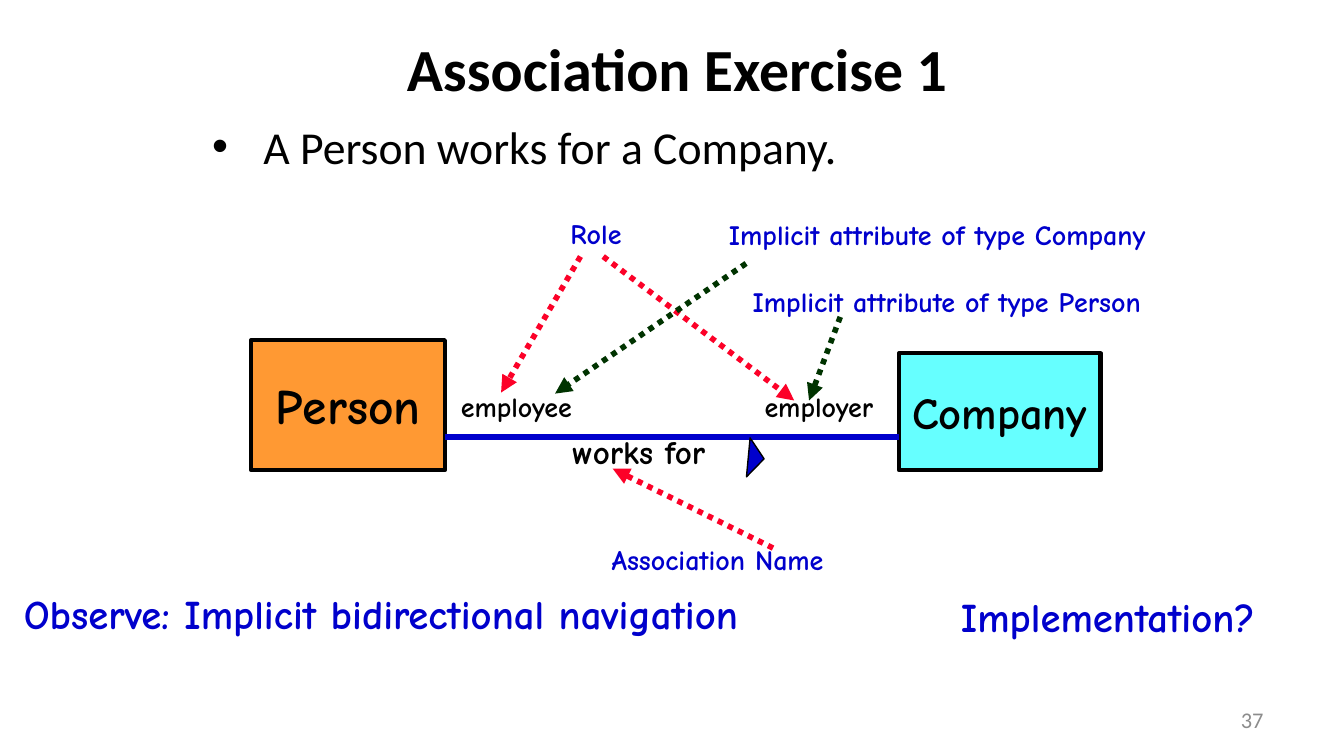
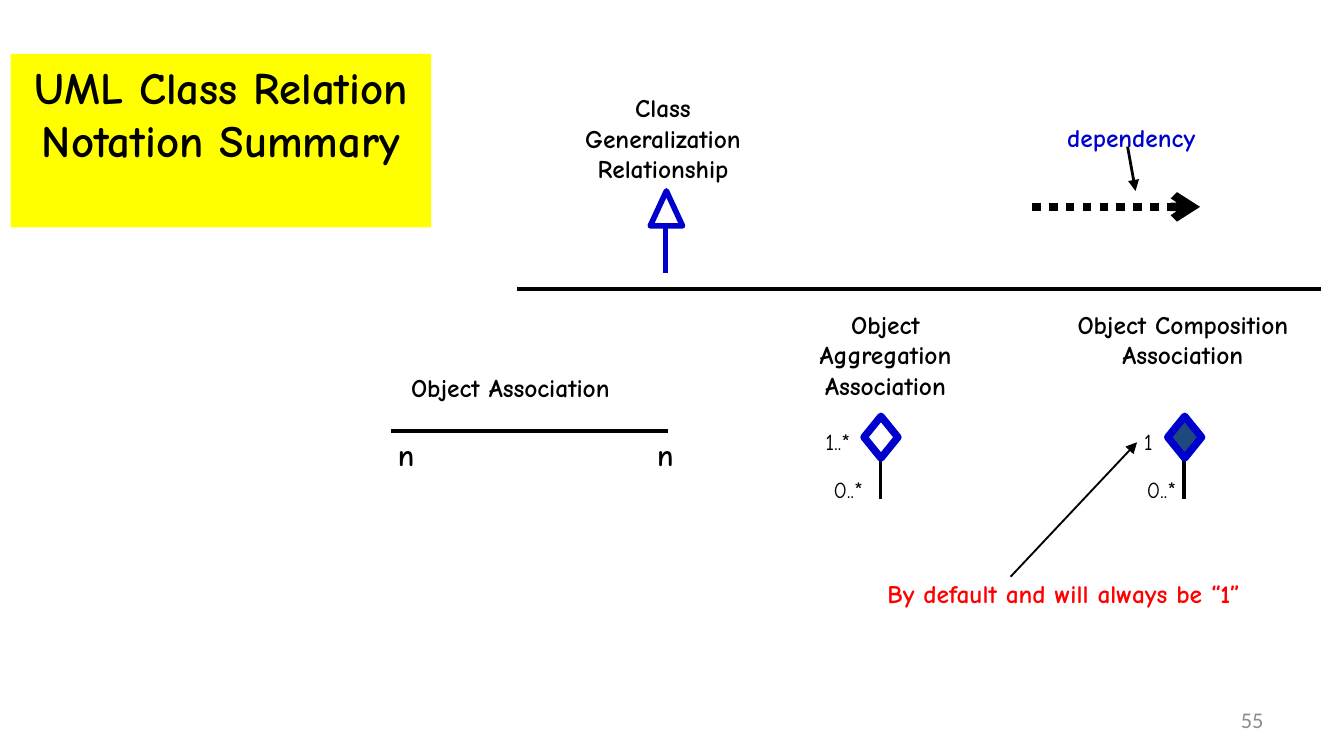
from lxml import etree
from pptx import Presentation
from pptx.dml.color import RGBColor
from pptx.enum.dml import MSO_LINE
from pptx.enum.shapes import MSO_CONNECTOR, MSO_SHAPE
from pptx.enum.text import MSO_ANCHOR, MSO_AUTO_SIZE, PP_ALIGN
from pptx.oxml.ns import qn
from pptx.util import Cm, Pt

BLACK, WHITE, BLUE = "000000", "FFFFFF", "0000CC"
RED, PINK, GREEN, GRAY = "FF0000", "FC0128", "003300", "8C8C8C"
ORANGE, CYAN, YELLOW, NAVY = "FF9933", "66FFFF", "FFFF00", "1F497D"
COMIC, CALIBRI = "Comic Neue", "Calibri"
LEFT, CENTER, RIGHT = PP_ALIGN.LEFT, PP_ALIGN.CENTER, PP_ALIGN.RIGHT
TIGHT, ROOMY = (0.18, 0.1), (0.25, 0.13)
NOTE, LABEL, COUNT = 15, 13.6, 12.2


def color(value):
    return RGBColor.from_string(value)


def add_bullet(para, indent):
    props = para._p.get_or_add_pPr()
    props.set("marL", str(Cm(indent)))
    props.set("indent", str(-Cm(indent)))
    etree.SubElement(props, qn("a:buFont"), typeface="Arial")
    etree.SubElement(props, qn("a:buChar"), char="•")


def write(shape, text, size, font=COMIC, ink=BLACK, bold=True, align=LEFT,
          anchor=MSO_ANCHOR.TOP, wrap=False, inset=TIGHT, spacing=None, bullet=None):
    """Fill a shape with text, one paragraph for each line."""
    frame = shape.text_frame
    frame.text = text
    frame.word_wrap = wrap
    frame.auto_size = MSO_AUTO_SIZE.NONE
    frame.vertical_anchor = anchor
    frame.margin_left = frame.margin_right = Cm(inset[0])
    frame.margin_top = frame.margin_bottom = Cm(inset[1])
    for para in frame.paragraphs:
        if bullet:
            add_bullet(para, bullet)
        para.alignment = align
        if spacing:
            para.line_spacing = spacing
        para.font.name = font
        para.font.size = Pt(size)
        para.font.bold = bold
        para.font.color.rgb = color(ink)


def add_text(page, place, text, size, **style):
    box = page.shapes.add_textbox(*map(Cm, place))
    write(box, text, size, **style)


def add_figure(page, kind, place, fill, outline, weight):
    figure = page.shapes.add_shape(kind, *map(Cm, place))
    figure.shadow.inherit = False
    figure.fill.solid()
    figure.fill.fore_color.rgb = color(fill)
    figure.line.color.rgb = color(outline)
    figure.line.width = Pt(weight)
    return figure


def add_line(page, start, end, ink=BLACK, weight=2, dotted=False, head=None):
    line = page.shapes.add_connector(MSO_CONNECTOR.STRAIGHT, *map(Cm, start + end))
    line.line.color.rgb = color(ink)
    line.line.width = Pt(weight)
    if dotted:
        line.line.dash_style = MSO_LINE.ROUND_DOT
    if head:
        etree.SubElement(line.get_or_add_ln(), qn("a:tailEnd"), type=head)
    etree.SubElement(line._element.spPr, qn("a:effectLst"))


def add_page(deck, title, place, number, size, **style):
    """Add a title-only slide with its title and slide number."""
    page = deck.slides.add_slide(deck.slide_layouts[5])
    heading = page.shapes.title
    heading.left, heading.top, heading.width, heading.height = map(Cm, place)
    write(heading, title, size, align=CENTER, wrap=True, **style)
    add_text(page, (18.21, 13.23, 5.92, 0.76), number, 12, font=CALIBRI, ink=GRAY,
             bold=False, align=RIGHT, anchor=MSO_ANCHOR.MIDDLE, wrap=True, inset=ROOMY)
    return page


def add_class_box(page, place, name, size, fill):
    box = add_figure(page, MSO_SHAPE.RECTANGLE, place, fill, BLACK, 2.25)
    write(box, name, size, align=CENTER, anchor=MSO_ANCHOR.MIDDLE)


def add_whole_part(page, center, fill, whole, whole_left, part_left):
    """Draw a diamond on a stem, with the counts at both ends."""
    add_line(page, (center, 8.56), (center, 9.43))
    add_text(page, (part_left, 8.9, 1.09, 0.71), "0..*", COUNT, bold=False)
    add_text(page, (whole_left, 7.98, 1.02, 0.71), whole, COUNT, bold=False)
    add_figure(page, MSO_SHAPE.DIAMOND, (center - 0.31, 7.87, 0.64, 0.79), fill, BLUE, 4)


def build_exercise(deck):
    page = add_page(deck, "Association Exercise 1", (4.67, 0.1, 16.26, 2.36), "37", 32,
                    font=CALIBRI, anchor=MSO_ANCHOR.MIDDLE, inset=ROOMY)
    add_text(page, (3.76, 2.11, 18.47, 8.94), "A Person works for a Company.", 24.5,
             font=CALIBRI, bold=False, wrap=True, inset=ROOMY, bullet=0.97)

    add_text(page, (10.64, 8.05, 3.33, 0.94), "works for", 17.7)
    add_class_box(page, (4.75, 6.43, 3.66, 2.46), "Person", 26.5, ORANGE)
    add_class_box(page, (16.99, 6.68, 3.81, 2.21), "Company", 23.8, CYAN)
    add_line(page, (8.41, 8.26), (16.99, 8.26), BLUE, 3)
    add_text(page, (8.53, 7.26, 2.69, 0.84), "employee", NOTE)
    add_text(page, (14.27, 7.26, 3.02, 0.84), "employer", NOTE)
    direction = add_figure(page, MSO_SHAPE.ISOSCELES_TRIANGLE, (13.92, 8.51, 0.74, 0.3),
                           BLUE, BLACK, 0.75)
    direction.rotation = 95.3

    for place, note in (
        ((11.1, 10.16, 4.93, 0.84), "Association Name"),
        ((10.54, 3.99, 1.45, 0.84), "Role"),
        ((12.98, 4.01, 9.47, 0.84), "Implicit attribute of type Company"),
        ((13.41, 5.28, 8.97, 0.84), "Implicit attribute of type Person"),
    ):
        add_text(page, place, note, NOTE, ink=BLUE, align=CENTER)
    for start, end, ink in (
        ((14.61, 10.36), (11.58, 8.86), PINK),
        ((10.97, 4.85), (9.47, 7.42), PINK),
        ((11.4, 4.85), (15.01, 7.57), PINK),
        ((14.1, 4.98), (10.49, 7.44), GREEN),
        ((15.88, 5.99), (15.29, 7.57), GREEN),
    ):
        add_line(page, start, end, ink, 3, dotted=True, head="triangle")
    for place, remark in (
        ((0.2, 11.18, 17.5, 0.99), "Observe: Implicit bidirectional navigation"),
        ((17.91, 11.23, 7.4, 0.99), "Implementation?"),
    ):
        add_text(page, place, remark, 21.8, ink=BLUE, wrap=True, inset=ROOMY, spacing=0.8)


def build_summary(deck):
    page = add_page(deck, "UML Class Relation Notation Summary", (0.2, 1.02, 7.95, 3.28),
                    "55", 24, inset=(0.2, 0.1))
    page.shapes.title.fill.solid()
    page.shapes.title.fill.fore_color.rgb = color(YELLOW)
    add_line(page, (9.78, 5.46), (24.97, 5.46), weight=2.25)

    add_line(page, (7.39, 8.15), (12.62, 8.15))
    add_text(page, (7.59, 6.93, 4.83, 0.76), "Object Association", LABEL)
    for left in (7.34, 12.24):
        add_text(page, (left, 8.14, 0.69, 0.89), "n", 16.3)

    add_text(page, (10.69, 1.65, 3.68, 1.93), "Class\nGeneralization\nRelationship", LABEL,
             align=CENTER)
    add_line(page, (12.58, 3.61), (12.58, 5.16), BLUE, 3)
    add_figure(page, MSO_SHAPE.ISOSCELES_TRIANGLE, (12.29, 3.61, 0.61, 0.66), WHITE, BLUE, 3)

    add_text(page, (15.16, 5.74, 3.15, 1.93), "Object\nAggregation\nAssociation", LABEL,
             align=CENTER)
    add_whole_part(page, 16.64, WHITE, "1..*", 15.42, 15.57)
    add_text(page, (20.12, 5.74, 4.47, 1.93), "Object Composition\nAssociation", LABEL,
             align=CENTER, wrap=True)
    add_whole_part(page, 22.38, NAVY, "1", 21.44, 21.49)
    add_text(page, (16.59, 10.82, 8.23, 0.76), "By default and will always be “1”", LABEL,
             ink=RED)
    add_line(page, (19.1, 10.9), (21.49, 8.36), weight=1, head="triangle")

    add_line(page, (19.51, 3.91), (22.68, 3.91), weight=4.5, dotted=True, head="arrow")
    add_text(page, (19.99, 2.21, 3.1, 0.76), "dependency", LABEL, ink=BLUE, wrap=True)
    add_line(page, (21.31, 2.77), (21.46, 3.61), weight=1.5, head="triangle")


def main():
    deck = Presentation()
    deck.slide_width, deck.slide_height = Cm(25.4), Cm(14.29)
    build_exercise(deck)
    build_summary(deck)
    deck.save("out.pptx")


if __name__ == "__main__":
    main()
